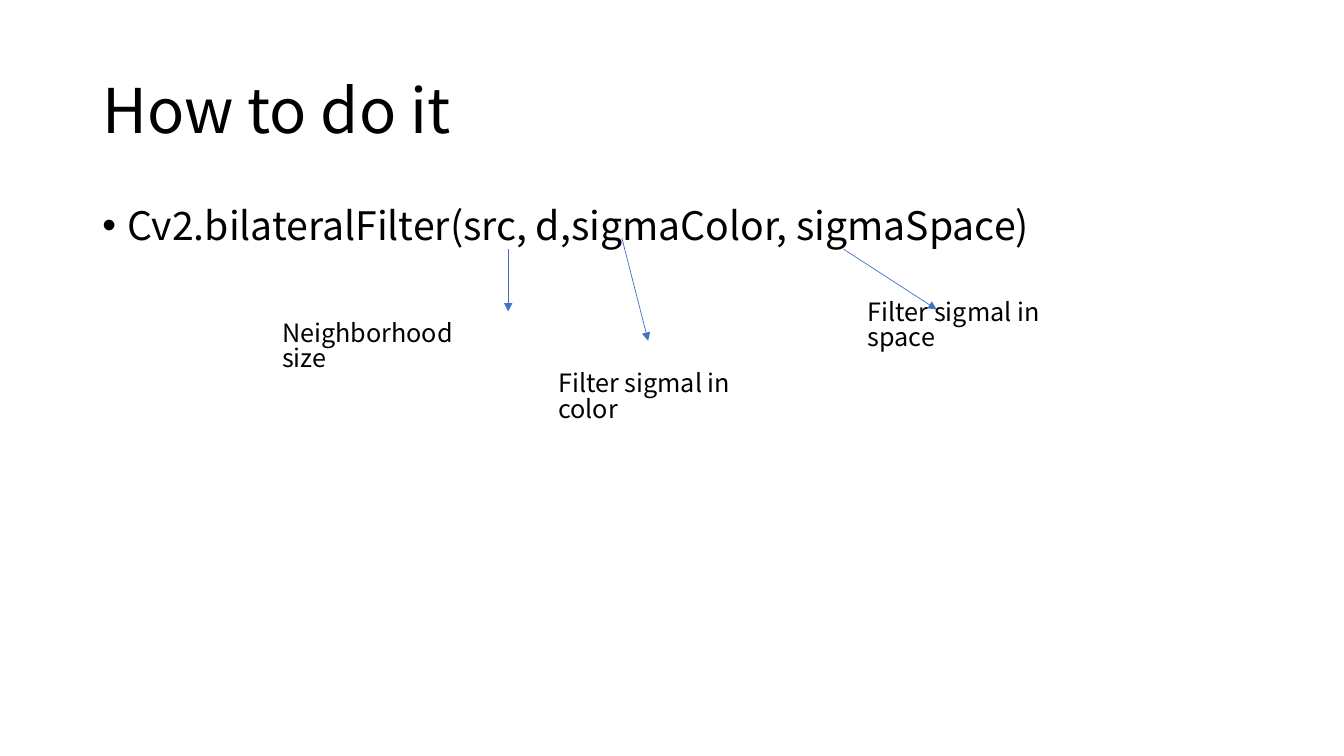
from lxml.etree import SubElement
from pptx import Presentation
from pptx.dml.color import RGBColor
from pptx.enum.shapes import MSO_CONNECTOR
from pptx.enum.text import MSO_ANCHOR, MSO_AUTO_SIZE, PP_ALIGN
from pptx.oxml.ns import qn
from pptx.util import Pt

COLORS = {"text": "000000", "arrow": "4472C4", "background": "FFFFFF"}
FONT = "Noto Sans CJK SC"


def fill_text(shape, text, size, line_spacing):
    """Write one left-aligned paragraph into the shape and return it."""
    frame = shape.text_frame
    frame.text = text
    frame.word_wrap = True
    frame.auto_size = MSO_AUTO_SIZE.NONE
    paragraph = frame.paragraphs[0]
    paragraph.alignment = PP_ALIGN.LEFT
    paragraph.line_spacing = line_spacing
    font = paragraph.runs[0].font
    font.name = FONT
    font.size = Pt(size)
    font.color.rgb = RGBColor.from_string(COLORS["text"])
    return paragraph


presentation = Presentation()
presentation.slide_width = Pt(960)
presentation.slide_height = Pt(540)
slide = presentation.slides.add_slide(presentation.slide_layouts[5])
slide.background.fill.solid()
slide.background.fill.fore_color.rgb = RGBColor.from_string(COLORS["background"])

title = slide.shapes.title
title.left, title.top, title.width, title.height = Pt(66), Pt(28.75), Pt(828), Pt(104.4)
fill_text(title, "How to do it", 44, 0.9)
title.text_frame.vertical_anchor = MSO_ANCHOR.MIDDLE

# Function call with a hanging bullet
call = slide.shapes.add_textbox(Pt(66), Pt(143.75), Pt(828), Pt(342.6))
call_line = fill_text(call, "Cv2.bilateralFilter(src, d,sigmaColor, sigmaSpace)", 28, 0.9)
call_line.space_before = Pt(10)
properties = call_line._p.get_or_add_pPr()
properties.set("marL", str(Pt(18)))
properties.set("indent", str(-Pt(18)))
SubElement(properties, qn("a:buFont"), typeface="Arial")
SubElement(properties, qn("a:buChar"), char="•")

# Parameter notes: text, left, top, width, arrow start, arrow end
parameter_notes = [
    ("Neighborhood size", 194.4, 226.8, 168.5, (363, 178), (363, 222.5)),
    ("Filter sigmal in color", 391.7, 262.8, 171.4, (444.2, 170), (463, 243.4)),
    ("Filter sigmal in space", 612.7, 211.7, 176.4, (602.6, 178), (669, 221)),
]
for note, left, top, width, start, end in parameter_notes:
    label = slide.shapes.add_textbox(Pt(left), Pt(top), Pt(width), Pt(28.8))
    fill_text(label, note, 18, 0.83)

    arrow = slide.shapes.add_connector(
        MSO_CONNECTOR.STRAIGHT, *[Pt(value) for value in start + end]
    )
    arrow.line.color.rgb = RGBColor.from_string(COLORS["arrow"])
    arrow.line.width = Pt(0.5)
    SubElement(arrow.line._get_or_add_ln(), qn("a:tailEnd"), type="triangle")
    SubElement(arrow._element.spPr, qn("a:effectLst"))

presentation.save("out.pptx")
